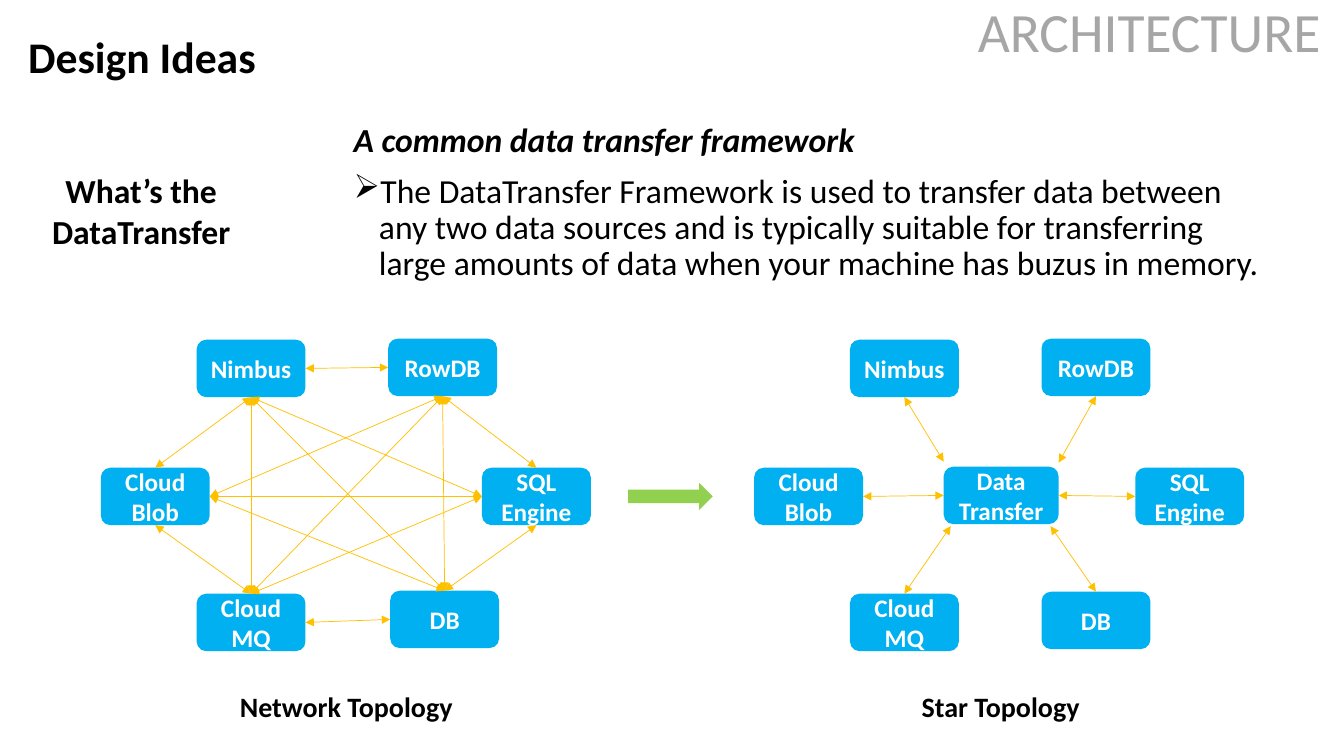
from lxml.etree import SubElement
from pptx import Presentation
from pptx.dml.color import RGBColor
from pptx.enum.shapes import MSO_CONNECTOR, MSO_SHAPE
from pptx.enum.text import MSO_ANCHOR, PP_ALIGN
from pptx.oxml.ns import qn
from pptx.util import Inches, Pt

TOP, LEFT, BOTTOM, RIGHT = range(4)
NODE_WIDTH, NODE_HEIGHT = 1.08, 0.57
STAR_OFFSET = 6.48

NODES = {
    "Nimbus": (1.95, 3.37),
    "Cloud Blob": (1, 4.64),
    "RowDB": (3.85, 3.36),
    "SQL Engine": (4.78, 4.64),
    "Cloud MQ": (1.95, 5.89),
    "DB": (3.87, 5.86),
}
NETWORK_LINKS = [
    ("Nimbus", RIGHT, "RowDB", LEFT),
    ("SQL Engine", TOP, "RowDB", BOTTOM),
    ("Cloud Blob", RIGHT, "SQL Engine", LEFT),
    ("Cloud MQ", RIGHT, "DB", LEFT),
    ("Cloud Blob", TOP, "Nimbus", BOTTOM),
    ("SQL Engine", BOTTOM, "DB", TOP),
    ("Cloud Blob", BOTTOM, "Cloud MQ", TOP),
    ("Cloud MQ", TOP, "Nimbus", BOTTOM),
    ("DB", TOP, "RowDB", BOTTOM),
    ("Cloud Blob", RIGHT, "RowDB", BOTTOM),
    ("Cloud Blob", RIGHT, "DB", TOP),
    ("Nimbus", BOTTOM, "SQL Engine", LEFT),
    ("Cloud MQ", TOP, "SQL Engine", LEFT),
    ("Nimbus", BOTTOM, "DB", TOP),
    ("Cloud MQ", TOP, "RowDB", BOTTOM),
]
STAR_CORNERS = [
    ("Nimbus", BOTTOM, (9.36, 4.58)),
    ("RowDB", BOTTOM, (10.5, 4.59)),
    ("Cloud MQ", TOP, (9.43, 5.22)),
    ("DB", TOP, (10.42, 5.22)),
]


def color(value):
    return RGBColor.from_string(value)


class TopologySlide:
    """Draws styled text, nodes and links on one slide."""

    font_name = "Calibri"
    node_fill = "00B0F0"
    link_color = "FFC000"

    def __init__(self, page):
        self.page = page

    def style(self, para, size, ink="000000", bold=False, italic=False):
        font = para.font
        font.name, font.size = self.font_name, Pt(size)
        font.bold, font.italic = bold, italic
        font.color.rgb = color(ink)

    def text(self, place, lines, size, ink="000000", bold=True, align=PP_ALIGN.LEFT,
             anchor=MSO_ANCHOR.TOP, spacing=1.0):
        box = self.page.shapes.add_textbox(*map(Inches, place))
        frame = box.text_frame
        frame.word_wrap = True
        frame.vertical_anchor = anchor
        frame.text = lines
        for para in frame.paragraphs:
            para.alignment = align
            para.line_spacing = spacing
            self.style(para, size, ink, bold)
        return box

    def heading(self, place, words, size, ink="000000", bold=True):
        box = self.text(place, words, size, ink, bold, anchor=MSO_ANCHOR.MIDDLE, spacing=0.9)
        box.fill.solid()
        box.fill.fore_color.rgb = color("FFFFFF")

    def description(self, place, lead, detail):
        box = self.text(place, f"{lead}\n{detail}", 24, bold=False, spacing=0.9)
        first, second = box.text_frame.paragraphs
        self.style(first, 24, bold=True, italic=True)
        for para in (first, second):
            para.space_before = Pt(10)
        properties = second._p.get_or_add_pPr()
        properties.set("marL", str(Inches(0.25)))
        properties.set("indent", str(Inches(-0.25)))
        bullet = properties.makeelement(qn("a:buChar"), {"char": "➢"})
        properties.insert_element_before(bullet, "a:tabLst", "a:defRPr", "a:extLst")

    def shape(self, kind, place, fill):
        shape = self.page.shapes.add_shape(kind, *map(Inches, place))
        shape.shadow.inherit = False
        shape.fill.solid()
        shape.fill.fore_color.rgb = color(fill)
        shape.line.fill.background()
        return shape

    def node(self, label, left, top, width=NODE_WIDTH):
        place = (left, top, width, NODE_HEIGHT)
        node = self.shape(MSO_SHAPE.ROUNDED_RECTANGLE, place, self.node_fill)
        frame = node.text_frame
        frame.word_wrap = True
        frame.vertical_anchor = MSO_ANCHOR.MIDDLE
        frame.text = label
        para = frame.paragraphs[0]
        para.alignment = PP_ALIGN.CENTER
        self.style(para, 18, "FFFFFF", bold=True)
        return node

    def link(self, start, start_side, end=None, end_side=None, point=(0, 0)):
        x, y = map(Inches, point)
        link = self.page.shapes.add_connector(MSO_CONNECTOR.STRAIGHT, x, y, x, y)
        link.begin_connect(start, start_side)
        if end is not None:
            link.end_connect(end, end_side)
        link.line.color.rgb = color(self.link_color)
        link.line.width = Pt(0.5)
        outline = link.line._get_or_add_ln()
        for tip in ("a:headEnd", "a:tailEnd"):
            SubElement(outline, qn(tip), type="triangle")
        SubElement(link._element.spPr, qn("a:effectLst"))

    def caption(self, left, words):
        self.text((left, 6.79, 2.31, 0.44), words, 20, align=PP_ALIGN.CENTER)


def draw_network(slide):
    nodes = {label: slide.node(label, *place) for label, place in NODES.items()}
    for start, start_side, end, end_side in NETWORK_LINKS:
        slide.link(nodes[start], start_side, nodes[end], end_side)
    slide.caption(2.28, "Network Topology")


def draw_star(slide):
    places = {**NODES, "DB": (3.85, 5.87)}
    nodes = {label: slide.node(label, left + STAR_OFFSET, top)
             for label, (left, top) in places.items()}
    hub = slide.node("Data\vTransfer", 9.36, 4.63, 1.14)
    slide.link(nodes["Cloud Blob"], RIGHT, hub, LEFT)
    slide.link(hub, RIGHT, nodes["SQL Engine"], LEFT)
    for label, side, corner in STAR_CORNERS:
        slide.link(nodes[label], side, point=corner)
    slide.caption(8.77, "Star Topology")


def main():
    deck = Presentation()
    deck.slide_width, deck.slide_height = Inches(13.33), Inches(7.5)
    slide = TopologySlide(deck.slides.add_slide(deck.slide_layouts[6]))
    slide.heading((9.6, -0.01, 3.74, 0.7), "ARCHITECTURE", 39.6, "A6A6A6", bold=False)
    slide.description(
        (3.41, 1.18, 9.22, 1.83),
        "A common data transfer framework",
        "The DataTransfer Framework is used to transfer data between any two data sources "
        "and is typically suitable for transferring large amounts of data when your machine "
        "has buzus in memory.",
    )
    slide.text((0.3, 1.64, 2.2, 0.91), "What’s the DataTransfer", 24, align=PP_ALIGN.CENTER)
    slide.heading((0.18, 0.18, 4.24, 0.82), "Design Ideas", 31.2)
    slide.shape(MSO_SHAPE.RIGHT_ARROW, (6.23, 4.79, 0.84, 0.27), "92D050")
    draw_network(slide)
    draw_star(slide)
    deck.save("out.pptx")


if __name__ == "__main__":
    main()
